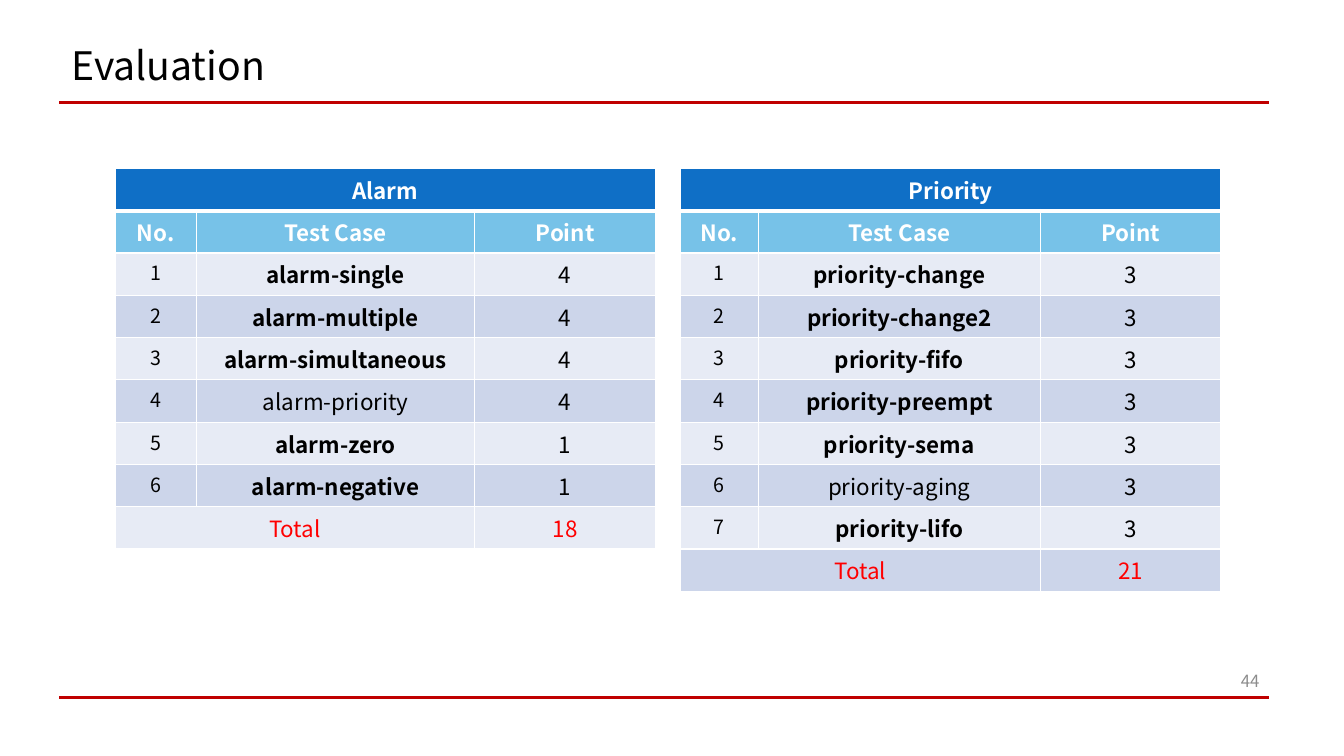
import pptx
import pptx.util
import pptx.dml.color
import pptx.enum.shapes
import pptx.enum.text
import pptx.oxml
import pptx.oxml.ns
from lxml import etree

Inches, Pt = pptx.util.Inches, pptx.util.Pt
ALIGN, ANCHOR = pptx.enum.text.PP_ALIGN, pptx.enum.text.MSO_ANCHOR

FONT = "Noto Sans CJK KR"
COLORS = {
    "rule": "C00000", "text": "000000", "number": "8C8C8C", "white": "FFFFFF",
    "caption": "0F6FC6", "heading": "77C2E8", "light": "E7EBF5", "dark": "CCD5EA",
    "total": "FF0000",
}
TITLE, PAGE = "Evaluation", "44"
HEADINGS = ["No.", "Test Case", "Point"]
# Each case: name, points, bold
TABLES = [
    {"caption": "Alarm", "left": 1.14, "widths": [0.81, 2.76, 1.79], "cases": [
        ("alarm-single", 4, True), ("alarm-multiple", 4, True),
        ("alarm-simultaneous", 4, True), ("alarm-priority", 4, False),
        ("alarm-zero", 1, True), ("alarm-negative", 1, True)]},
    {"caption": "Priority", "left": 6.75, "widths": [0.77, 2.8, 1.79], "cases": [
        ("priority-change", 3, True), ("priority-change2", 3, True),
        ("priority-fifo", 3, True), ("priority-preempt", 3, True),
        ("priority-sema", 3, True), ("priority-aging", 3, False),
        ("priority-lifo", 3, True)]},
]
TABLE_TOP, ROW_HEIGHT = 1.67, 0.42
RULE_LEFT, RULE_RIGHT, RULE_TOPS = 0.59, 12.59, [1.02, 6.92]


def rgb(name):
    return pptx.dml.color.RGBColor.from_string(COLORS[name])


def write(tf, text, size, color, align, bold=False):
    p = tf.paragraphs[0]
    p.alignment = align
    r = p.add_run()
    r.text = text
    r.font.name, r.font.size, r.font.bold = FONT, Pt(size), bold
    r.font.color.rgb = rgb(color)
    return p


def add_text(slide, box, text, size, color, align):
    tf = slide.shapes.add_textbox(*map(Inches, box)).text_frame
    tf.word_wrap = True
    tf.vertical_anchor = ANCHOR.MIDDLE
    return write(tf, text, size, color, align)


def add_rule(slide, top):
    line = slide.shapes.add_connector(
        pptx.enum.shapes.MSO_CONNECTOR.STRAIGHT,
        Inches(RULE_LEFT), Inches(top), Inches(RULE_RIGHT), Inches(top))
    line.line.color.rgb = rgb("rule")
    line.line.width = Pt(2.25)
    etree.SubElement(line._element.spPr, pptx.oxml.ns.qn("a:effectLst"))


def set_borders(cell, top, bottom):
    """Draw white cell borders, 1 pt at the sides; they must precede the fill."""
    tcPr = cell._tc.get_or_add_tcPr()
    widths = {"lnL": 1, "lnR": 1, "lnT": top, "lnB": bottom}
    for i, (tag, width) in enumerate(widths.items()):
        tcPr.insert(i, pptx.oxml.parse_xml(
            f'<a:{tag} {pptx.oxml.ns.nsdecls("a")} w="{Pt(width)}"><a:solidFill>'
            f'<a:srgbClr val="{COLORS["white"]}"/></a:solidFill></a:{tag}>'))


def table_rows(caption, cases):
    """Give each row as its fill and its cells of text, size, colour and bold."""
    rows = [("caption", [(caption, 16, "white", True), None, None]),
            ("heading", [(h, 16, "white", True) for h in HEADINGS])]
    bands = ["light", "dark"]
    for i, (name, points, bold) in enumerate(cases):
        rows.append((bands[i % 2], [(str(i + 1), 14, "text", False),
                                    (name, 16, "text", bold),
                                    (str(points), 16, "text", False)]))
    total = str(sum(points for _, points, _ in cases))
    rows.append((bands[len(cases) % 2], [("Total", 16, "total", False), None,
                                         (total, 16, "total", False)]))
    return rows


def add_score_table(slide, caption, left, widths, cases):
    rows = table_rows(caption, cases)
    table = slide.shapes.add_table(
        len(rows), len(widths), Inches(left), Inches(TABLE_TOP),
        Inches(sum(widths)), Inches(ROW_HEIGHT * len(rows))).table
    for column, width in zip(table.columns, widths):
        column.width = Inches(width)
    table.cell(0, 0).merge(table.cell(0, 2))
    table.cell(len(rows) - 1, 0).merge(table.cell(len(rows) - 1, 1))
    for i, (fill, contents) in enumerate(rows):
        table.rows[i].height = Inches(ROW_HEIGHT)
        for j, content in enumerate(contents):
            cell = table.cell(i, j)
            cell.fill.solid()
            cell.fill.fore_color.rgb = rgb(fill)
            set_borders(cell, 3 if i == 1 else 1, 3 if i == 0 else 1)
            if content:
                text, size, color, bold = content
                write(cell.text_frame, text, size, color, ALIGN.CENTER, bold)


def main():
    prs = pptx.Presentation()
    prs.slide_width, prs.slide_height = Inches(13.33), Inches(7.5)
    slide = prs.slides.add_slide(prs.slide_layouts[6])
    for top in RULE_TOPS:
        add_rule(slide, top)
    title = add_text(slide, (0.61, 0.41, 11.5, 0.53), TITLE, 28, "text", ALIGN.LEFT)
    title.line_spacing = 0.9
    add_text(slide, (12.1, 6.55, 0.49, 0.4), PAGE, 12, "number", ALIGN.RIGHT)
    for table in TABLES:
        add_score_table(slide, **table)
    prs.save("out.pptx")


if __name__ == "__main__":
    main()
